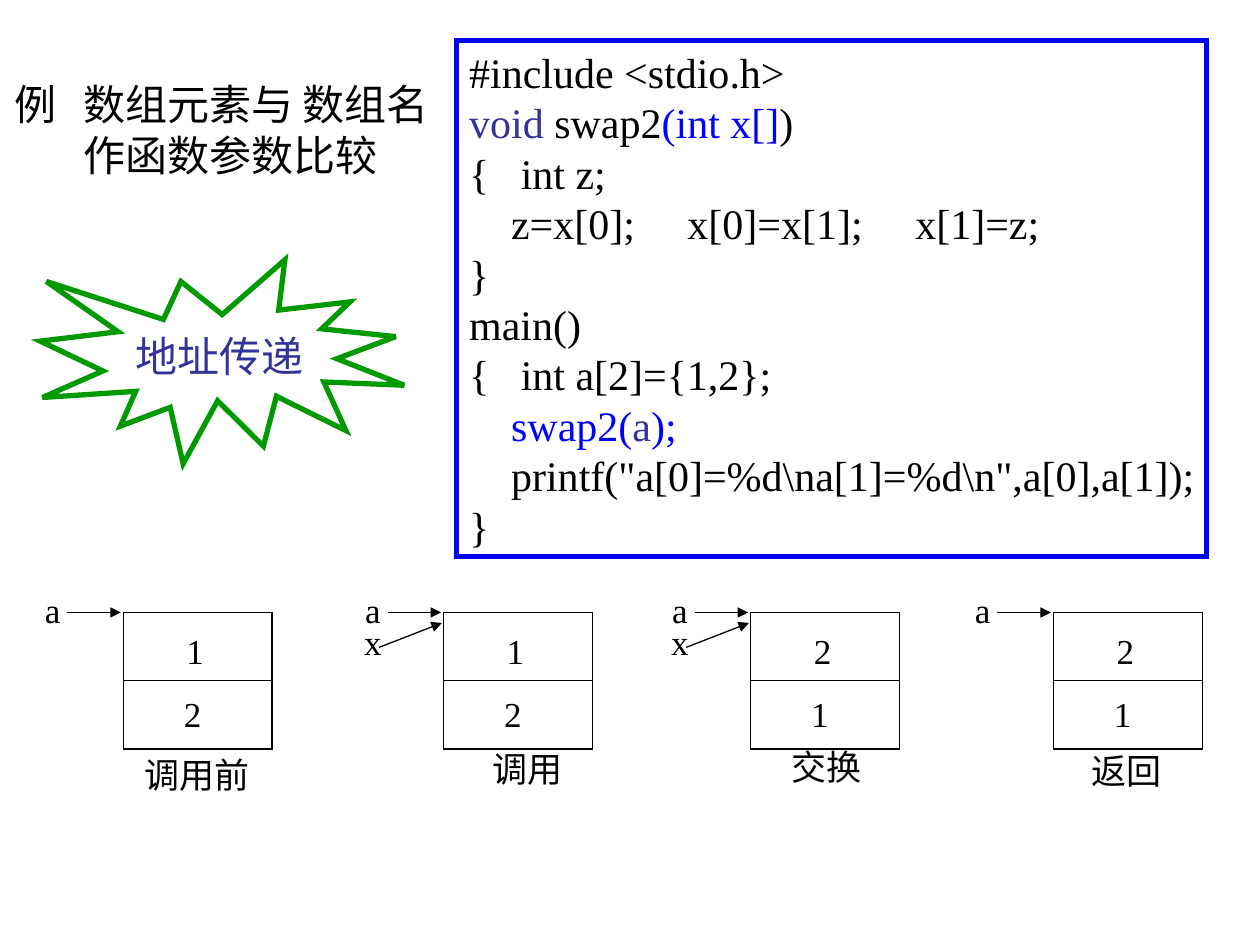
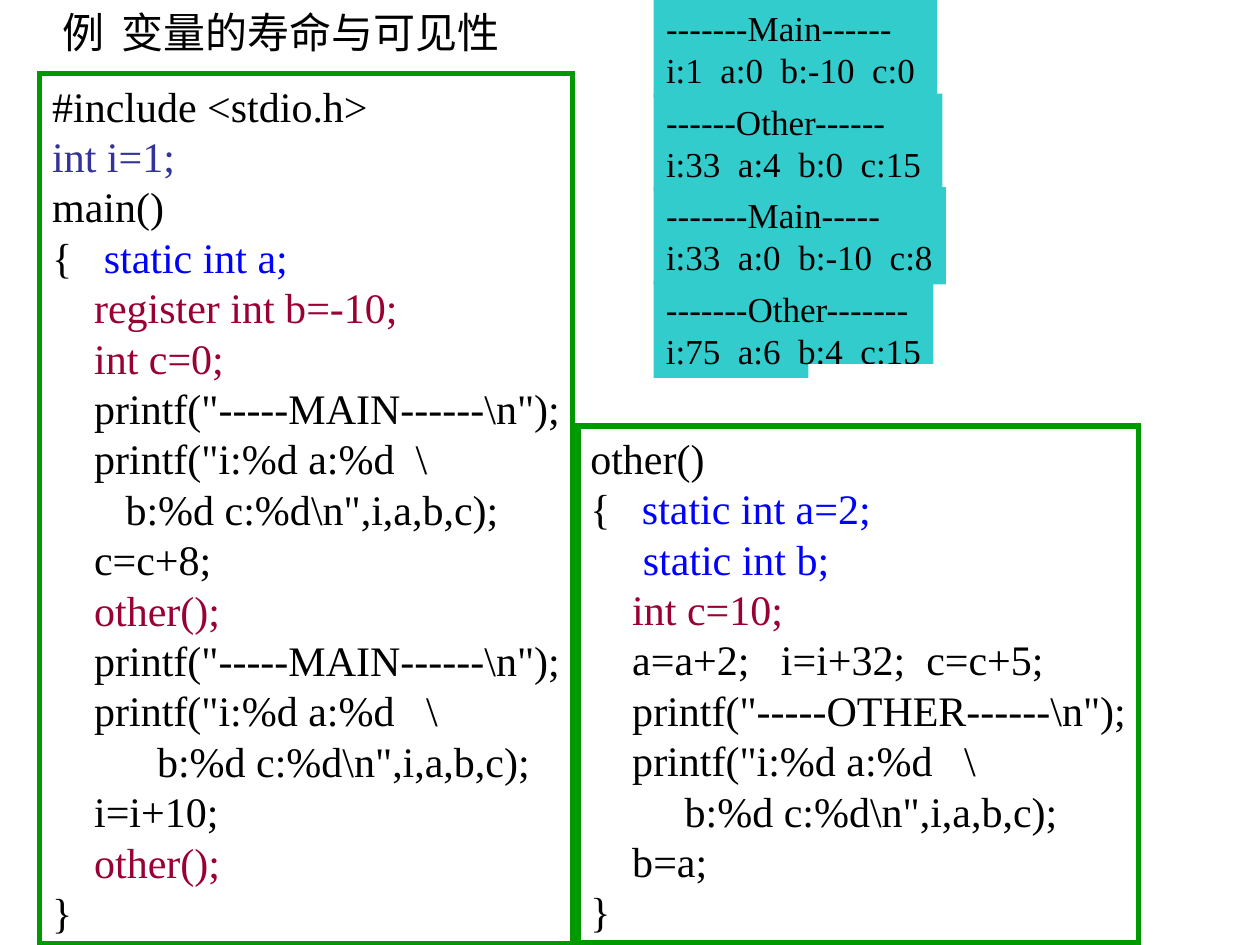
from lxml.etree import SubElement
from pptx import Presentation
from pptx.dml.color import RGBColor
from pptx.enum.shapes import MSO_CONNECTOR, MSO_SHAPE
from pptx.enum.text import MSO_ANCHOR, MSO_AUTO_SIZE, PP_ALIGN
from pptx.oxml.ns import qn
from pptx.util import Pt

BLACK = RGBColor(0x00, 0x00, 0x00)
WHITE = RGBColor(0xFF, 0xFF, 0xFF)
BLUE = RGBColor(0x00, 0x00, 0xFF)
INDIGO = RGBColor(0x33, 0x33, 0x99)
GREEN = RGBColor(0x00, 0x99, 0x00)
CRIMSON = RGBColor(0x99, 0x00, 0x33)
TEAL = RGBColor(0x33, 0xCC, 0xCC)

FONT = "Times New Roman"
LARGE, SMALL = 24, 20
LINE_HEIGHT = 1.2

SWAP_CODE = [
    "#include <stdio.h>",
    [("void", INDIGO), (" swap2", BLACK), ("(int x[]", BLUE), (")", BLACK)],
    "{   int z;",
    "    z=x[0];     x[0]=x[1];     x[1]=z;",
    "}",
    "main()",
    "{   int a[2]={1,2};",
    [("    swap2(", BLUE), ("a", INDIGO), (");", BLUE)],
    '    printf("a[0]=%d\\na[1]=%d\\n",a[0],a[1]);',
    "}",
]
MAIN_CODE = [
    "#include <stdio.h>",
    [("int i=1;", INDIGO)],
    "main()",
    [("{   ", BLACK), ("static int a;", BLUE)],
    [("    register int b=-10;", CRIMSON)],
    [("    int c=0;", CRIMSON)],
    '    printf("-----MAIN------\\n");',
    '    printf("i:%d a:%d  \\',
    '       b:%d c:%d\\n",i,a,b,c);',
    "    c=c+8;",
    [("    other();", CRIMSON)],
    '    printf("-----MAIN------\\n");',
    '    printf("i:%d a:%d   \\',
    '          b:%d c:%d\\n",i,a,b,c);',
    "    i=i+10;",
    [("    other();", CRIMSON)],
    "}",
]
OTHER_CODE = [
    "other()",
    [("{   ", BLACK), ("static int a=2;", BLUE)],
    [("     static int b;", BLUE)],
    [("    int c=10;", CRIMSON)],
    "    a=a+2;   i=i+32;  c=c+5;",
    '    printf("-----OTHER------\\n");',
    '    printf("i:%d a:%d   \\',
    '         b:%d c:%d\\n",i,a,b,c);',
    "    b=a;",
    "}",
]
PROGRAM_OUTPUT = [
    (162, "-------Main------", "i:1  a:0  b:-10  c:0"),
    (165, "------Other------", "i:33  a:4  b:0  c:15"),
    (167, "-------Main-----", "i:33  a:0  b:-10  c:8"),
    (160, "-------Other-------", "i:75  a:6  b:4  c:15"),
]
MEMORY_STATES = [
    (70.5, "12", False, "调用前", 5, 77),
    (253.5, "12", True, "调用", 21, 73.5),
    (429, "21", True, "交换", 16, 72.5),
    (602, "21", False, "返回", 14.5, 75),
]


def write_lines(frame, lines, size, anchor=MSO_ANCHOR.TOP, align=PP_ALIGN.LEFT, color=BLACK, indent=0):
    frame.word_wrap = True
    frame.auto_size = MSO_AUTO_SIZE.NONE
    frame.vertical_anchor = anchor
    frame.margin_right = 0
    if align == PP_ALIGN.CENTER:
        frame.margin_left = 0
    for index, line in enumerate(lines):
        paragraph = frame.add_paragraph() if index else frame.paragraphs[0]
        paragraph.alignment = align
        paragraph.line_spacing = Pt(size * LINE_HEIGHT)
        if indent:
            hang_paragraph(paragraph, indent, 0 if index else -indent)
        paragraph.font.name = FONT
        paragraph.font.size = Pt(size)
        if isinstance(line, str):
            paragraph.font.color.rgb = color
            paragraph.add_run().text = line
            continue
        for text, run_color in line:
            run = paragraph.add_run()
            run.text = text
            run.font.color.rgb = run_color


def hang_paragraph(paragraph, margin, first_line):
    properties = paragraph._p.get_or_add_pPr()
    properties.set("marL", str(Pt(margin)))
    properties.set("indent", str(Pt(first_line)))
    tabs = SubElement(properties, qn("a:tabLst"))
    SubElement(tabs, qn("a:tab"), pos=str(Pt(margin)), algn="l")


def add_box(shapes, box, fill=WHITE, outline=None, width=3, kind=MSO_SHAPE.RECTANGLE):
    shape = shapes.add_shape(kind, *map(Pt, box))
    shape.shadow.inherit = False
    shape.fill.solid()
    shape.fill.fore_color.rgb = fill
    if outline is None:
        shape.line.fill.background()
    else:
        shape.line.color.rgb = outline
        shape.line.width = Pt(width)
        SubElement(shape.element.spPr.find(qn("a:ln")), qn("a:miter"), lim="800000")
    return shape


def add_label(shapes, text, box):
    textbox = shapes.add_textbox(*map(Pt, box))
    write_lines(textbox.text_frame, [text], SMALL)


def add_line(shapes, start, end, arrow=False):
    connector = shapes.add_connector(MSO_CONNECTOR.STRAIGHT, *map(Pt, start + end))
    connector.line.color.rgb = BLACK
    connector.line.width = Pt(0.75)
    properties = connector.element.spPr
    if arrow:
        SubElement(properties.find(qn("a:ln")), qn("a:tailEnd"), type="triangle")
    SubElement(properties, qn("a:effectLst"))


def add_title(slide, box, lines, indent):
    textbox = slide.shapes.add_textbox(*map(Pt, box))
    write_lines(textbox.text_frame, lines, LARGE, indent=indent)


def add_code(slide, box, lines, outline, anchor=MSO_ANCHOR.MIDDLE):
    shape = add_box(slide.shapes, box, outline=outline)
    write_lines(shape.text_frame, lines, LARGE, anchor)


def add_burst(slide, box, text):
    shape = add_box(slide.shapes, box, outline=GREEN, kind=MSO_SHAPE.EXPLOSION1)
    write_lines(shape.text_frame, [text], LARGE, MSO_ANCHOR.MIDDLE, PP_ALIGN.CENTER, INDIGO)


def add_memory(slide, box, values, has_parameter, caption, caption_left, caption_top):
    left, top, width, height = box
    middle = top + height / 2
    shapes = slide.shapes.add_group_shape().shapes
    add_box(shapes, box, outline=BLACK, width=0.75)
    add_line(shapes, (left, middle), (left + width, middle))
    add_label(shapes, values[0], (left + 29, top + 6, 24.5, 31.5))
    add_label(shapes, values[1], (left + 27.5, top + 42, 24.5, 31.5))
    add_label(shapes, "a", (left - 52, top - 17.5, 23, 31.5))
    add_line(shapes, (left - 32, top), (left - 1.5, top), arrow=True)
    if has_parameter:
        add_label(shapes, "x", (left - 52.5, top + 1, 24.5, 31.5))
        add_line(shapes, (left - 37, top + 20), (left - 1, top + 6), arrow=True)
    caption_width = 14.4 + SMALL * len(caption)
    add_label(shapes, caption, (left + caption_left, top + caption_top, caption_width, 31.5))


def add_output(slide, left, top, pitch):
    for index, (width, *lines) in enumerate(PROGRAM_OUTPUT):
        box = (left, top + index * pitch, width, 55.5)
        shape = add_box(slide.shapes, box, TEAL)
        write_lines(shape.text_frame, lines, SMALL, MSO_ANCHOR.MIDDLE)
    cover_top = top + len(PROGRAM_OUTPUT) * pitch - 6
    add_box(slide.shapes, (left + 88.5, cover_top, 183, 15))


def build_swap_slide(slide):
    for left, *state in MEMORY_STATES:
        add_memory(slide, (left, 350, 85, 78), *state)
    add_code(slide, (261, 23, 428.5, 295), SWAP_CODE, BLUE, MSO_ANCHOR.TOP)
    add_burst(slide, (23, 148.5, 208, 116.5), "地址传递")
    add_title(slide, (1.5, 41.5, 257, 65), ["例\t数组元素与 数组名", "作函数参数比较"], 39)


def build_scope_slide(slide):
    add_title(slide, (28.5, 0, 275, 36), ["例\t变量的寿命与可见性"], 34)
    add_code(slide, (22.75, 42, 304.5, 497), MAIN_CODE, GREEN)
    add_code(slide, (330.25, 243.5, 320.5, 295), OTHER_CODE, GREEN)
    add_output(slide, 373.5, 0, 53.5)


def main():
    presentation = Presentation()
    presentation.slide_width = Pt(720)
    presentation.slide_height = Pt(540)
    for build in (build_swap_slide, build_scope_slide):
        build(presentation.slides.add_slide(presentation.slide_layouts[6]))
    presentation.save("out.pptx")


if __name__ == "__main__":
    main()
